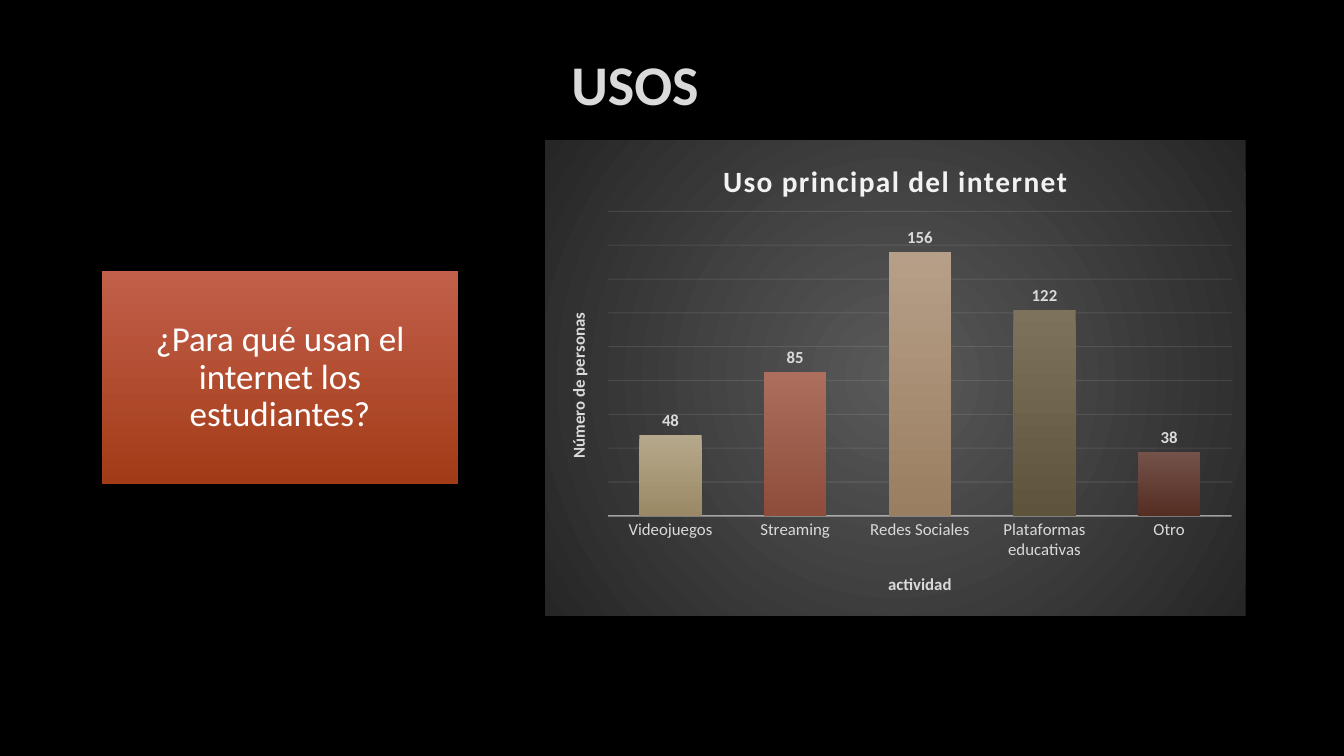
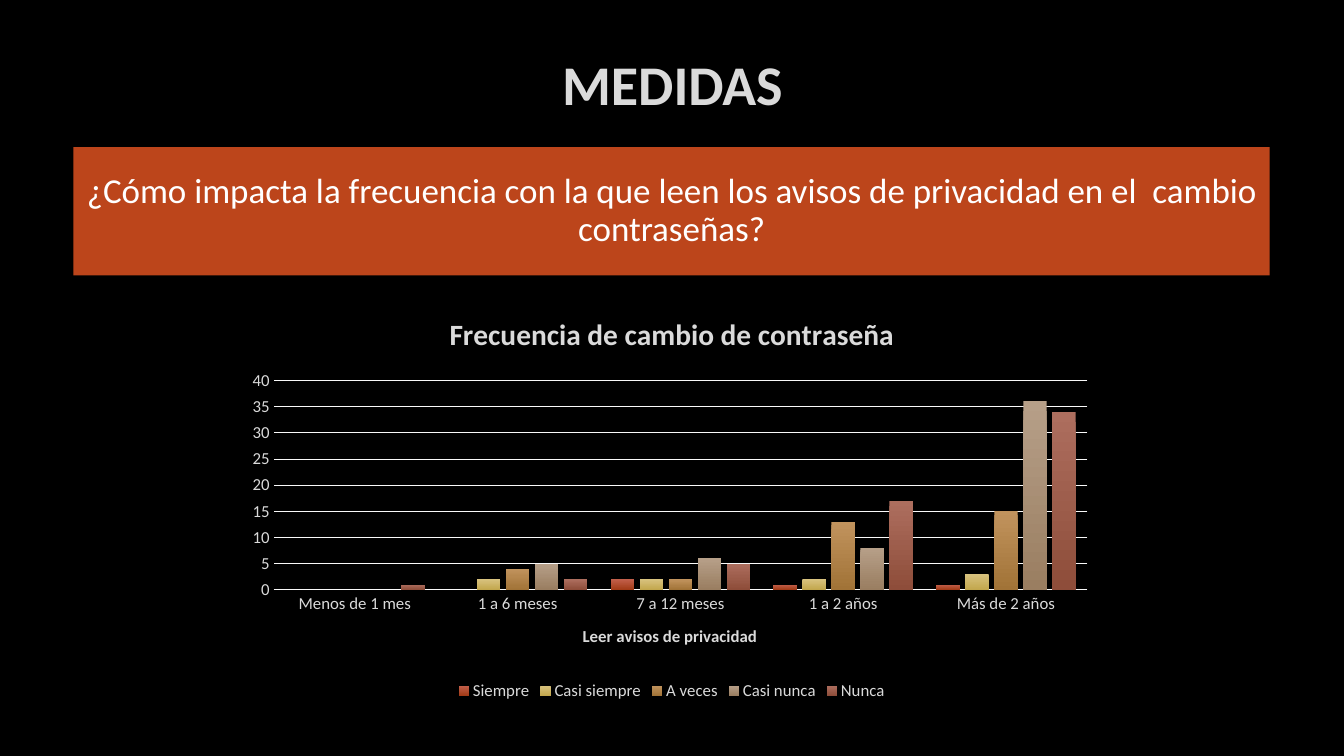
from dataclasses import dataclass

from lxml import etree
from pptx import Presentation
from pptx.chart.data import CategoryChartData
from pptx.dml.color import RGBColor
from pptx.enum.chart import XL_CHART_TYPE, XL_LABEL_POSITION, XL_LEGEND_POSITION, XL_TICK_MARK
from pptx.enum.shapes import MSO_SHAPE
from pptx.enum.text import MSO_ANCHOR, PP_ALIGN
from pptx.oxml import parse_xml
from pptx.oxml.ns import nsdecls, qn
from pptx.util import Cm, Pt

COLUMNS = XL_CHART_TYPE.COLUMN_CLUSTERED
OUTSIDE_END = XL_LABEL_POSITION.OUTSIDE_END
LEGEND_BOTTOM = XL_LEGEND_POSITION.BOTTOM
NO_TICK = XL_TICK_MARK.NONE
RECTANGLE = MSO_SHAPE.RECTANGLE
MIDDLE = MSO_ANCHOR.MIDDLE
CENTER = PP_ALIGN.CENTER


@dataclass(frozen=True)
class Theme:
    """Colours, gradients and type sizes of the presentation."""

    font: str = "Calibri"
    background: str = "000000"
    text: str = "DADADA"
    white: str = "FFFFFF"
    bright: str = "F2F2F2"
    grid: str = "F9F9F9"
    orange: str = "BC451B"
    rust: tuple = ("C25F4A", "A23B17")
    yellow: tuple = ("D8C27E", "C2A74D")
    ochre: tuple = ("C1935D", "A17337")
    sand: tuple = ("B69F88", "9A7E61")
    brick: tuple = ("AD6E5E", "8E4D3A")
    khaki: tuple = ("B6A88B", "9A8964")
    olive: tuple = ("7D725B", "5E533B")
    maroon: tuple = ("74524A", "552E23")
    panel: tuple = ("595959", "262626")
    title_size: int = 40
    question_size: int = 25
    chart_title_size: int = 21
    chart_size: int = 12


THEME = Theme()


def rgb(color):
    """Turn a hexadecimal colour into an RGBColor."""
    return RGBColor.from_string(color)


def paint(fill, color):
    """Fill with one colour, or with a pair from top to bottom."""
    if isinstance(color, str):
        fill.solid()
        fill.fore_color.rgb = rgb(color)
        return
    fill.gradient()
    fill.gradient_angle = 270
    for stop, stop_color in zip(fill.gradient_stops, color):
        stop.color.rgb = rgb(stop_color)


def draw_line(line, color, width):
    """Give a line its colour and width in points."""
    line.color.rgb = rgb(color)
    line.width = Pt(width)


def fade(element, percent):
    """Make the colours inside an element partly transparent."""
    for color in element.iter(qn("a:srgbClr")):
        etree.SubElement(color, qn("a:alpha"), val=str(percent * 1000))


class Deck:
    """Hold the style and the current slide."""

    def __init__(self, theme):
        """Start a wide presentation with a plain background."""
        self.theme = theme
        self.presentation = Presentation()
        self.presentation.slide_width = Cm(33.87)
        self.presentation.slide_height = Cm(19.05)
        paint(self.presentation.slide_master.background.fill, theme.background)
        self.slide = None

    def style(self, font, size, color, bold=False):
        """Apply the typeface, size, colour and weight."""
        font.name = self.theme.font
        font.size = Pt(size)
        font.bold = bold
        font.color.rgb = rgb(color)

    def add_text(self, text_frame, text, size, color, bold=False):
        """Fill the first paragraph with one centred run."""
        paragraph = text_frame.paragraphs[0]
        paragraph.alignment = CENTER
        run = paragraph.add_run()
        run.text = text
        self.style(run.font, size, color, bold)

    def add_slide(self, title, left):
        """Add a slide with its title placeholder."""
        self.slide = self.presentation.slides.add_slide(self.presentation.slide_layouts[5])
        shape = self.slide.shapes.title
        shape.left, shape.top, shape.width, shape.height = Cm(left), Cm(0.76), Cm(28.75), Cm(2.69)
        shape.text_frame.vertical_anchor = MIDDLE
        self.add_text(shape.text_frame, title, self.theme.title_size, self.theme.text, True)

    def add_question(self, text, box, color):
        """Add a filled rectangle that holds a question."""
        shape = self.slide.shapes.add_shape(RECTANGLE, *map(Cm, box))
        shape.shadow.inherit = False
        paint(shape.fill, color)
        shape.line.fill.background()
        frame = shape.text_frame
        frame.word_wrap = True
        frame.vertical_anchor = MIDDLE
        frame.margin_left = frame.margin_right = Cm(0.25)
        frame.margin_top = frame.margin_bottom = Cm(0.25)
        self.add_text(frame, text, self.theme.question_size, self.theme.white)
        frame.paragraphs[0].line_spacing = 0.9

    def add_columns(self, title, box, plot_box, categories, series, axis_title, scale):
        """Add a column chart whose series are (name, values, colour)."""
        theme = self.theme
        data = CategoryChartData()
        data.categories = categories
        for name, values, _ in series:
            data.add_series(name, values)
        chart = self.slide.shapes.add_chart(COLUMNS, *map(Cm, box), data).chart
        self.style(chart.font, theme.chart_size, theme.text)
        chart.has_legend = False
        chart.has_title = True
        self.add_text(chart.chart_title.text_frame, title, theme.chart_title_size, theme.text, True)
        plot = chart.plots[0]
        plot.vary_by_categories = False
        plot.gap_width = 100
        plot.overlap = -24
        for column, (_, _, color) in zip(plot.series, series):
            paint(column.format.fill, color)
        for axis in (chart.category_axis, chart.value_axis):
            axis.major_tick_mark = axis.minor_tick_mark = NO_TICK
            self.style(axis.tick_labels.font, theme.chart_size, theme.text)
        self.title_axis(chart.category_axis, axis_title)
        draw_line(chart.category_axis.format.line, theme.grid, 0.75)
        value_axis = chart.value_axis
        value_axis.minimum_scale = 0
        value_axis.maximum_scale, value_axis.major_unit = scale
        value_axis.has_major_gridlines = True
        draw_line(value_axis.major_gridlines.format.line, theme.grid, 0.75)
        value_axis.format.line.fill.background()
        self.place_plot(chart, plot_box)
        return chart

    def title_axis(self, axis, text):
        """Give an axis a bold title."""
        axis.has_title = True
        frame = axis.axis_title.text_frame
        self.add_text(frame, text, self.theme.chart_size, self.theme.text, True)

    def place_plot(self, chart, plot_box):
        """Set the inner plot area as fractions of the chart."""
        area = chart.element.find(".//" + qn("c:plotArea"))
        for old in area.findall(qn("c:layout")):
            area.remove(old)
        places = "".join(f'<c:{key} val="{value}"/>' for key, value in zip("xywh", plot_box))
        area.insert(0, parse_xml(
            f'<c:layout {nsdecls("c")}><c:manualLayout><c:layoutTarget val="inner"/>'
            f'<c:xMode val="edge"/><c:yMode val="edge"/>{places}</c:manualLayout></c:layout>'))

    def add_panel(self, chart):
        """Put a round gradient behind the whole chart."""
        stops = "".join(
            f'<a:gs pos="{position}"><a:srgbClr val="{color}"/></a:gs>'
            for position, color in zip((0, 100000), self.theme.panel))
        chart.element.find(qn("c:chart")).addnext(parse_xml(
            f'<c:spPr {nsdecls("c", "a")}><a:gradFill><a:gsLst>{stops}</a:gsLst>'
            '<a:path path="circle"><a:fillToRect l="50000" t="50000" r="50000" b="50000"/>'
            '</a:path></a:gradFill><a:ln><a:noFill/></a:ln></c:spPr>'))

    def label_columns(self, chart):
        """Show bold values above the columns and hide the value axis."""
        plot = chart.plots[0]
        plot.has_data_labels = True
        labels = plot.data_labels
        labels.show_value = True
        labels.position = OUTSIDE_END
        self.style(labels.font, self.theme.chart_size, self.theme.text, True)
        chart.value_axis.visible = False

    def soften_lines(self, chart):
        """Make the grid and the base line translucent."""
        draw_line(chart.category_axis.format.line, self.theme.bright, 1)
        fade(chart.element.find(".//" + qn("c:majorGridlines")), 10)
        fade(chart.element.find(f'.//{qn("c:catAx")}/{qn("c:spPr")}'), 54)

    def title_value_axis(self, chart, text):
        """Add a value axis title that reads upwards."""
        self.title_axis(chart.value_axis, text)
        body = chart.element.find(f'.//{qn("c:valAx")}/{qn("c:title")}//{qn("a:bodyPr")}')
        body.set("rot", "-5400000")
        body.set("vert", "horz")

    def add_legend(self, chart):
        """Add a legend under the plot."""
        chart.has_legend = True
        chart.legend.position = LEGEND_BOTTOM
        chart.legend.include_in_layout = False
        self.style(chart.legend.font, self.theme.chart_size, self.theme.text)


def add_uses(deck):
    """Build the slide on the uses of the internet."""
    theme = deck.theme
    deck.add_slide("USOS", 1.63)
    deck.add_question("¿Para qué usan el internet los estudiantes?",
                      (2.57, 6.83, 8.97, 5.38), theme.rust)
    chart = deck.add_columns(
        "Uso principal del internet", (13.74, 3.53, 17.65, 11.99), (0.09, 0.15, 0.89, 0.64),
        ("Videojuegos", "Streaming", "Redes Sociales", "Plataformas educativas", "Otro"),
        [("Series 1", (48, 85, 156, 122, 38), theme.khaki)], "actividad", (180, 20))
    title_font = chart.chart_title.text_frame.paragraphs[0].runs[0].font
    title_font.color.rgb = rgb(theme.bright)
    chart.element.find(f'.//{qn("c:title")}//{qn("a:rPr")}').set("spc", "100")
    points = chart.plots[0].series[0].points
    colors = (theme.khaki, theme.brick, theme.sand, theme.olive, theme.maroon)
    for index, color in enumerate(colors):
        paint(points[index].format.fill, color)
    deck.add_panel(chart)
    deck.label_columns(chart)
    deck.soften_lines(chart)
    deck.title_value_axis(chart, "Número de personas")


def add_measures(deck):
    """Build the slide on privacy notices and password changes."""
    theme = deck.theme
    deck.add_slide("MEDIDAS", 2.57)
    deck.add_question(
        "¿Cómo impacta la frecuencia con la que leen los avisos de privacidad en el  cambio contraseñas?",
        (1.85, 3.71, 30.15, 3.23), theme.orange)
    chart = deck.add_columns(
        "Frecuencia de cambio de contraseña", (6.02, 7.42, 21.82, 10.34), (0.04, 0.21, 0.94, 0.51),
        ("Menos de 1 mes", "1 a 6 meses", "7 a 12 meses", "1 a 2 años", "Más de 2 años"),
        [("Siempre", (None, None, 2, 1, 1), theme.rust),
         ("Casi siempre", (None, 2, 2, 2, 3), theme.yellow),
         ("A veces", (None, 4, 2, 13, 15), theme.ochre),
         ("Casi nunca", (None, 5, 6, 8, 36), theme.sand),
         ("Nunca", (1, 2, 5, 17, 34), theme.brick)],
        "Leer avisos de privacidad", (40, 5))
    deck.add_legend(chart)


def main():
    """Build and save the presentation."""
    deck = Deck(THEME)
    add_uses(deck)
    add_measures(deck)
    deck.presentation.save("out.pptx")


if __name__ == "__main__":
    main()
